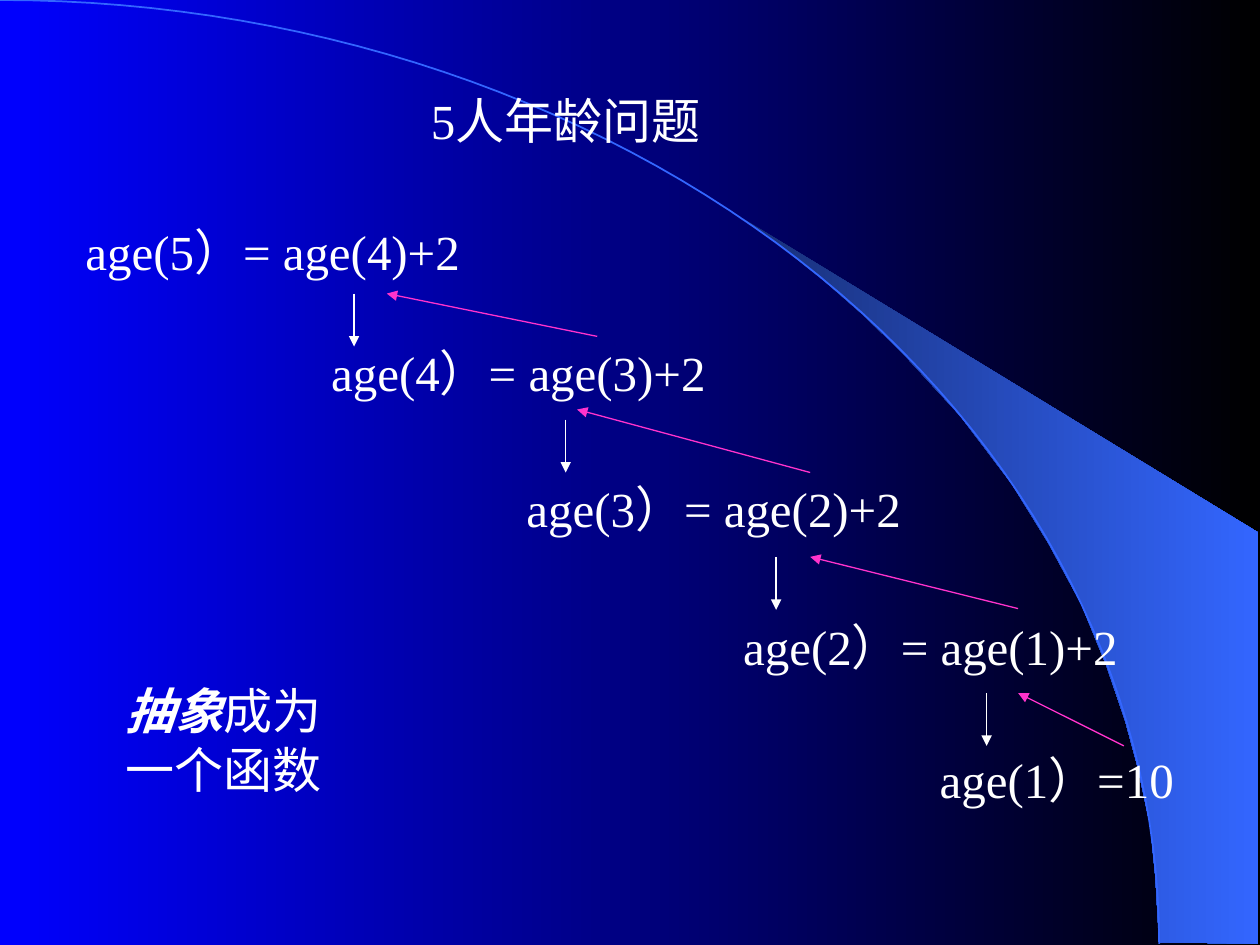
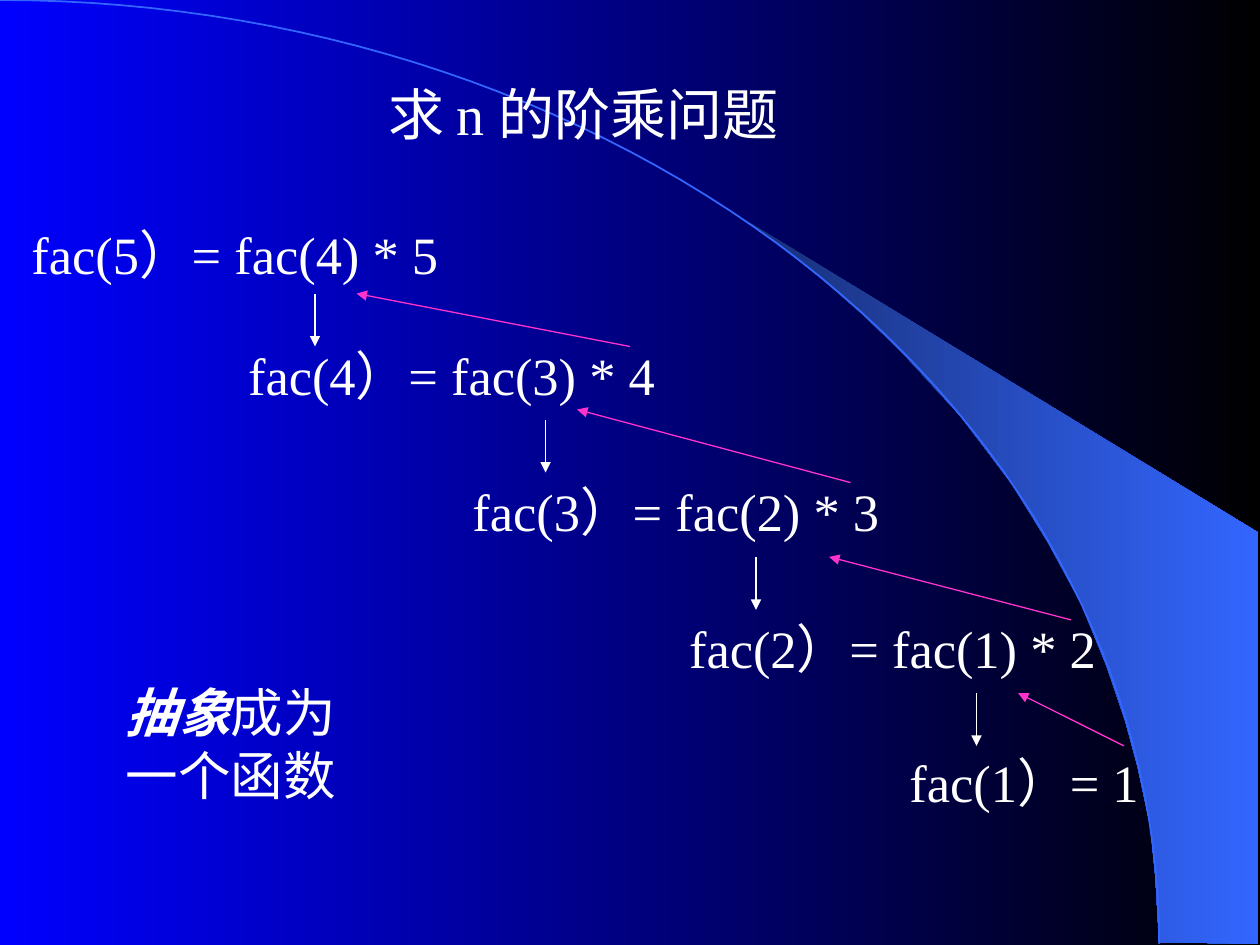
"""Build two slides that unfold recursive functions step by step."""
import math

from lxml import etree
from pptx import Presentation
from pptx import util as u
from pptx.dml.color import RGBColor
from pptx.enum import shapes, text
from pptx.oxml.ns import qn

PX = 9144
FONT = "Times New Roman"
COLORS = {
    "sky": "0000FF", "night": "000000", "text": "FFFFFF", "returning": "FF33CC",
    "arc": "3366FF", "beam_dark": "182F76",
}
ARC_WIDTH, ARC_HEIGHT, ARC_STEPS = 920, 749, 60
BEAM = [
    (920, 748), (999, 749), (999, 423), (589, 173), (624, 199), (653, 222),
    (685, 250), (716, 280), (762, 330), (803, 384), (832, 431), (858, 479),
    (878, 528), (893, 572), (903, 609), (913, 656), (917, 696),
]
EQUATION_TOPS = [171, 267, 375, 484, 590]
CALL_TOPS = [233, 333, 442, 550]
RETURN_TOPS = [233, 325, 442, 550]
CALL_LENGTH = 42
NOTE = [[("抽象", True), ("成为", False)], [("一个函数", False)]]

PROBLEMS = [
    {
        "title": "5人年龄问题", "title_box": (332, 67, 245, 57), "title_size": 28,
        "size": 28, "function": "age", "step": "+2", "base": "10",
        "lefts": [58, 253, 408, 580, 736], "width": 338, "base_width": 226,
        "height": 57, "note_box": (90, 535, 177, 104),
        "calls": [281, 449, 616, 783], "returns": [307, 458, 643, 808],
        "results": [(474, 267), (643, 375), (808, 483), (892, 592)],
    },
    {
        "title": "求 n 的阶乘问题", "title_box": (298, 58, 353, 64), "title_size": 32,
        "size": 30, "function": "fac", "step": " * {n}", "base": " 1",
        "lefts": [15, 187, 365, 537, 712], "width": 365, "base_width": 224,
        "height": 60, "note_box": (90, 535, 188, 110),
        "calls": [250, 433, 600, 775], "returns": [283, 458, 658, 808],
        "results": [(500, 275), (675, 383), (850, 492), (892, 592)],
    },
]


def rgb(name):
    return RGBColor.from_string(COLORS[name])


def shade(fill, start, end):
    fill.gradient()
    fill.gradient_angle = 0
    for stop, name in zip(fill.gradient_stops, (start, end)):
        stop.color.rgb = rgb(name)


class Deck:
    """Hold the shared style and the slide being drawn."""

    def __init__(self):
        self.prs = Presentation()
        self.prs.slide_width = 1000 * PX
        self.prs.slide_height = 750 * PX
        shade(self.prs.slide_master.background.fill, "sky", "night")
        self.slide = None

    def new_slide(self):
        self.slide = self.prs.slides.add_slide(self.prs.slide_layouts[5])
        beam = self.outline(BEAM, True)
        shade(beam.fill, "beam_dark", "arc")
        beam.line.fill.background()
        angles = [math.pi / 2 * i / ARC_STEPS for i in range(ARC_STEPS + 1)]
        arc = self.outline([(ARC_WIDTH * math.sin(a), ARC_HEIGHT * (1 - math.cos(a)))
                            for a in angles], False)
        arc.fill.background()
        arc.line.color.rgb = rgb("arc")
        arc.line.width = u.Pt(1)

    def outline(self, points, close):
        builder = self.slide.shapes.build_freeform(
            *(round(v * PX) for v in points[0]), scale=1.0)
        builder.add_line_segments(
            [(round(x * PX), round(y * PX)) for x, y in points[1:]], close=close)
        shape = builder.convert_to_shape()
        shape.shadow.inherit = False
        return shape

    def style(self, frame, size):
        frame.word_wrap = False
        frame.auto_size = text.MSO_AUTO_SIZE.SHAPE_TO_FIT_TEXT
        frame.vertical_anchor = text.MSO_ANCHOR.TOP
        for paragraph in frame.paragraphs:
            paragraph.alignment = text.PP_ALIGN.LEFT
            for run in paragraph.runs:
                run.font.name = FONT
                run.font.size = u.Pt(size)
                run.font.color.rgb = rgb("text")

    def title(self, wording, box, size):
        heading = self.slide.shapes.title
        heading.element.getparent().append(heading.element)
        heading.left, heading.top, heading.width, heading.height = (v * PX for v in box)
        heading.text_frame.text = wording
        self.style(heading.text_frame, size)

    def label(self, lines, box, size):
        frame = self.slide.shapes.add_textbox(*(v * PX for v in box)).text_frame
        for i, line in enumerate(lines):
            paragraph = frame.add_paragraph() if i else frame.paragraphs[0]
            for wording, strong in line:
                run = paragraph.add_run()
                run.text = wording
                run.font.bold = run.font.italic = strong
        self.style(frame, size)

    def arrow(self, start, end, color):
        link = self.slide.shapes.add_connector(
            shapes.MSO_CONNECTOR.STRAIGHT, *(v * PX for v in (*start, *end)))
        link.line.color.rgb = rgb(color)
        link.line.width = u.Pt(0.75)
        etree.SubElement(link.element.spPr.find(qn("a:ln")), qn("a:tailEnd"), type="triangle")
        etree.SubElement(link.element.spPr, qn("a:effectLst"))

    def recursion(self, problem):
        self.new_slide()
        self.title(problem["title"], problem["title_box"], problem["title_size"])
        name, size = problem["function"], problem["size"]
        depth = len(EQUATION_TOPS)
        for i, (left, top) in enumerate(zip(problem["lefts"], EQUATION_TOPS)):
            n = depth - i
            if n > 1:
                value = f" {name}({n - 1})" + problem["step"].format(n=n)
                width = problem["width"]
            else:
                value, width = problem["base"], problem["base_width"]
            self.label([[(f"{name}({n}）={value}", False)]],
                       (left, top, width, problem["height"]), size)
        for x, top in zip(problem["calls"], CALL_TOPS):
            self.arrow((x, top), (x, top + CALL_LENGTH), "text")
        for result, x, top in zip(problem["results"], problem["returns"], RETURN_TOPS):
            self.arrow(result, (x, top), "returning")
        self.label(NOTE, problem["note_box"], size)


def main():
    deck = Deck()
    for problem in PROBLEMS:
        deck.recursion(problem)
    deck.prs.save("out.pptx")


if __name__ == "__main__":
    main()
